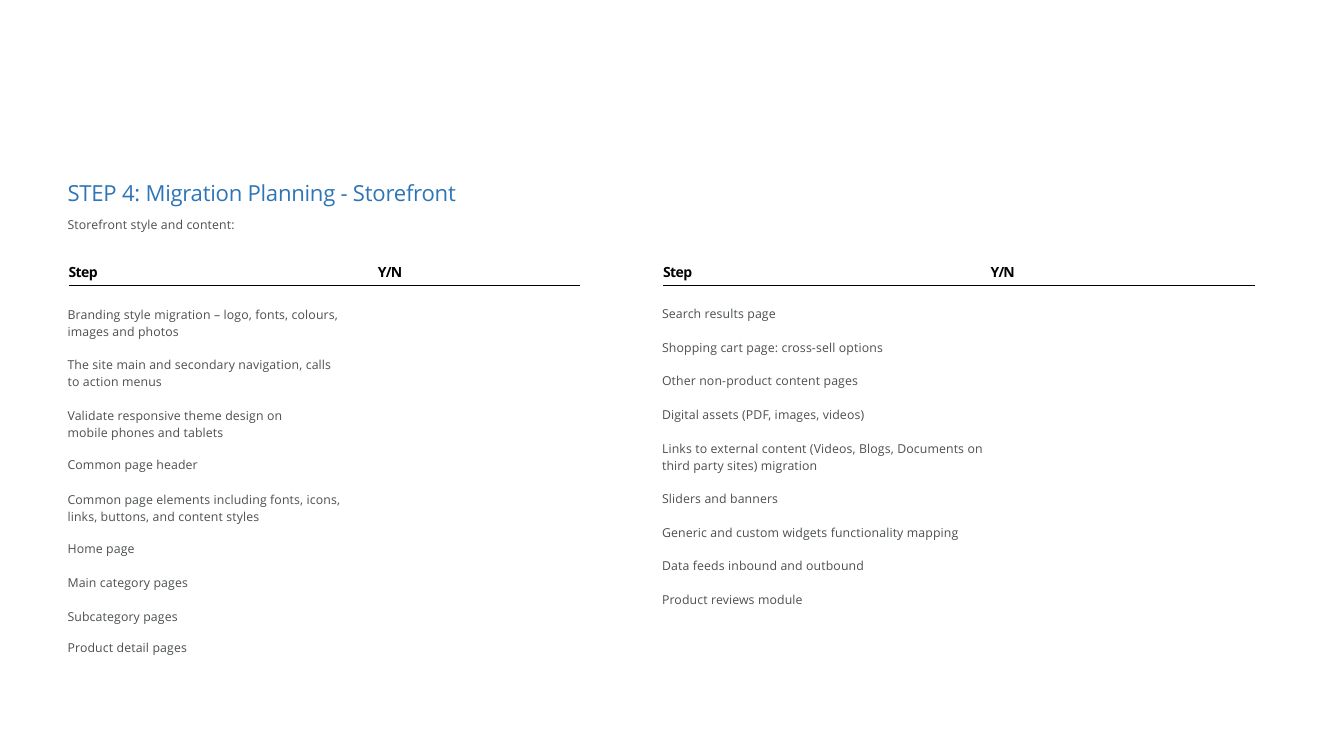
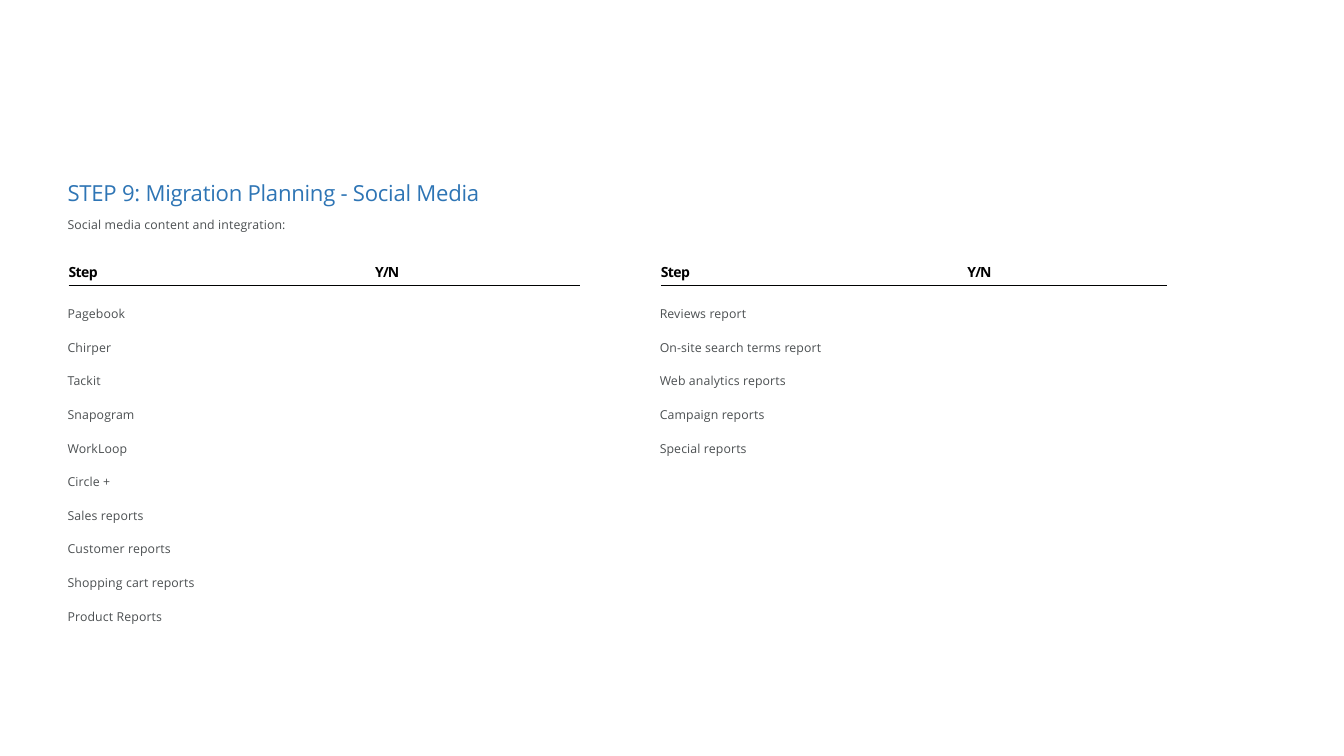
from collections import namedtuple

from lxml.etree import SubElement
from pptx import Presentation
from pptx.dml.color import RGBColor
from pptx.enum.shapes import MSO_CONNECTOR
from pptx.oxml.ns import qn
from pptx.util import Pt

# Shared look
BLUE = RGBColor(0x2E, 0x75, 0xB5)
GREY = RGBColor(0x4B, 0x4F, 0x51)
BLACK = RGBColor(0x00, 0x00, 0x00)
RULE = RGBColor(0x00, 0x01, 0x01)
FONT = "Open Sans"
BODY_SIZE = 8.8

# Shared layout, in points
LEFT = 49
TITLE_TOP = 127.4
HEADER_TOP = 187.2
RULE_TOP = 203.8
ROWS_TOP = 218.2
ROW_PITCH = 24
LINE_HEIGHT = 12

# A checklist column: yes_no is the offset of its second heading
Checklist = namedtuple("Checklist", "left width yes_no steps last_pitch",
                       defaults=[ROW_PITCH])


def add_text_box(page, left, top, width, height):
    box = page.shapes.add_textbox(Pt(left), Pt(top), Pt(width), Pt(height))
    frame = box.text_frame
    frame.word_wrap = True
    frame.margin_left = frame.margin_right = frame.margin_bottom = 0
    frame.margin_top = Pt(0.7)
    return frame


def style_paragraph(para, size, color, tracking, before, bold=False):
    para.space_before = Pt(before)
    for span in para.runs:
        span.font.name = FONT
        span.font.size = Pt(size)
        span.font.bold = bold
        span.font.color.rgb = color
        span._r.get_or_add_rPr().set("spc", str(round(tracking * 100)))


def add_title(page, left, top, title, subtitle):
    frame = add_text_box(page, left, top, 340, 39)
    frame.text = f"{title}\n{subtitle}"
    heading, intro = frame.paragraphs
    style_paragraph(heading, 15.8, BLUE, -0.2, 0.8)
    style_paragraph(intro, BODY_SIZE, GREY, 0.1, 8.1)


def add_heading(page, left, text, tracking):
    frame = add_text_box(page, left, HEADER_TOP, 40, 13)
    frame.text = text
    style_paragraph(frame.paragraphs[0], 10, BLACK, tracking, 0.6, bold=True)


def add_rule(page, left, top, width):
    rule = page.shapes.add_connector(
        MSO_CONNECTOR.STRAIGHT, Pt(left), Pt(top), Pt(left + width), Pt(top))
    rule.line.color.rgb = RULE
    rule.line.width = Pt(0.82)
    SubElement(rule._element.spPr, qn("a:effectLst"))


def add_step(page, left, top, width, text):
    lines = text.count("\v") + 1
    wrapped = lines > 1
    frame = add_text_box(page, left, top - wrapped, width, lines * LINE_HEIGHT)
    para = frame.paragraphs[0]
    para.text = text
    style_paragraph(para, BODY_SIZE, GREY, 0.1, 0.6 if wrapped else 0.8)
    if wrapped:
        para.line_spacing = 1.14
    return (lines - 1) * LINE_HEIGHT


def add_checklist(page, column):
    # Headings and rule
    add_heading(page, column.left, "Step", -0.4)
    add_heading(page, column.left + column.yes_no, "Y/N", -0.6)
    add_rule(page, column.left, RULE_TOP, column.width)

    # Steps, each extra line pushing the next ones down
    top = ROWS_TOP
    for step in column.steps[:-1]:
        top += add_step(page, column.left - 0.7, top, column.yes_no, step)
        top += ROW_PITCH
    top += column.last_pitch - ROW_PITCH
    add_step(page, column.left - 0.7, top, column.yes_no, column.steps[-1])


def add_checklist_page(deck, title, subtitle, columns):
    page = deck.slides.add_slide(deck.slide_layouts[6])
    add_title(page, LEFT - 0.7, TITLE_TOP, title, subtitle)
    for column in columns:
        add_checklist(page, column)


deck = Presentation()
deck.slide_width = Pt(960)
deck.slide_height = Pt(540)

add_checklist_page(
    deck, "STEP 4: Migration Planning - Storefront",
    "Storefront style and content:",
    [
        Checklist(LEFT, 365.5, 221, [
            "Branding style migration – logo, fonts, colours,\vimages and photos",
            "The site main and secondary navigation, calls\vto action menus",
            "Validate responsive theme design on\vmobile phones and tablets",
            "Common page header",
            "Common page elements including fonts, icons,\v"
            "links, buttons, and content styles",
            "Home page",
            "Main category pages",
            "Subcategory pages",
            "Product detail pages",
        ], last_pitch=22.2),
        Checklist(473.6, 422.8, 234, [
            "Search results page",
            "Shopping cart page: cross-sell options",
            "Other non-product content pages",
            "Digital assets (PDF, images, videos)",
            "Links to external content (Videos, Blogs, Documents on\v"
            "third party sites) migration",
            "Sliders and banners",
            "Generic and custom widgets functionality mapping",
            "Data feeds inbound and outbound",
            "Product reviews module",
        ]),
    ])

add_checklist_page(
    deck, "STEP 9: Migration Planning - Social Media",
    "Social media content and integration:",
    [
        Checklist(LEFT, 365, 219, [
            "Pagebook",
            "Chirper",
            "Tackit",
            "Snapogram",
            "WorkLoop",
            "Circle +",
            "Sales reports",
            "Customer reports",
            "Shopping cart reports",
            "Product Reports",
        ]),
        Checklist(472, 361.6, 219, [
            "Reviews report",
            "On-site search terms report",
            "Web analytics reports",
            "Campaign reports",
            "Special reports",
        ]),
    ])

deck.save("out.pptx")
